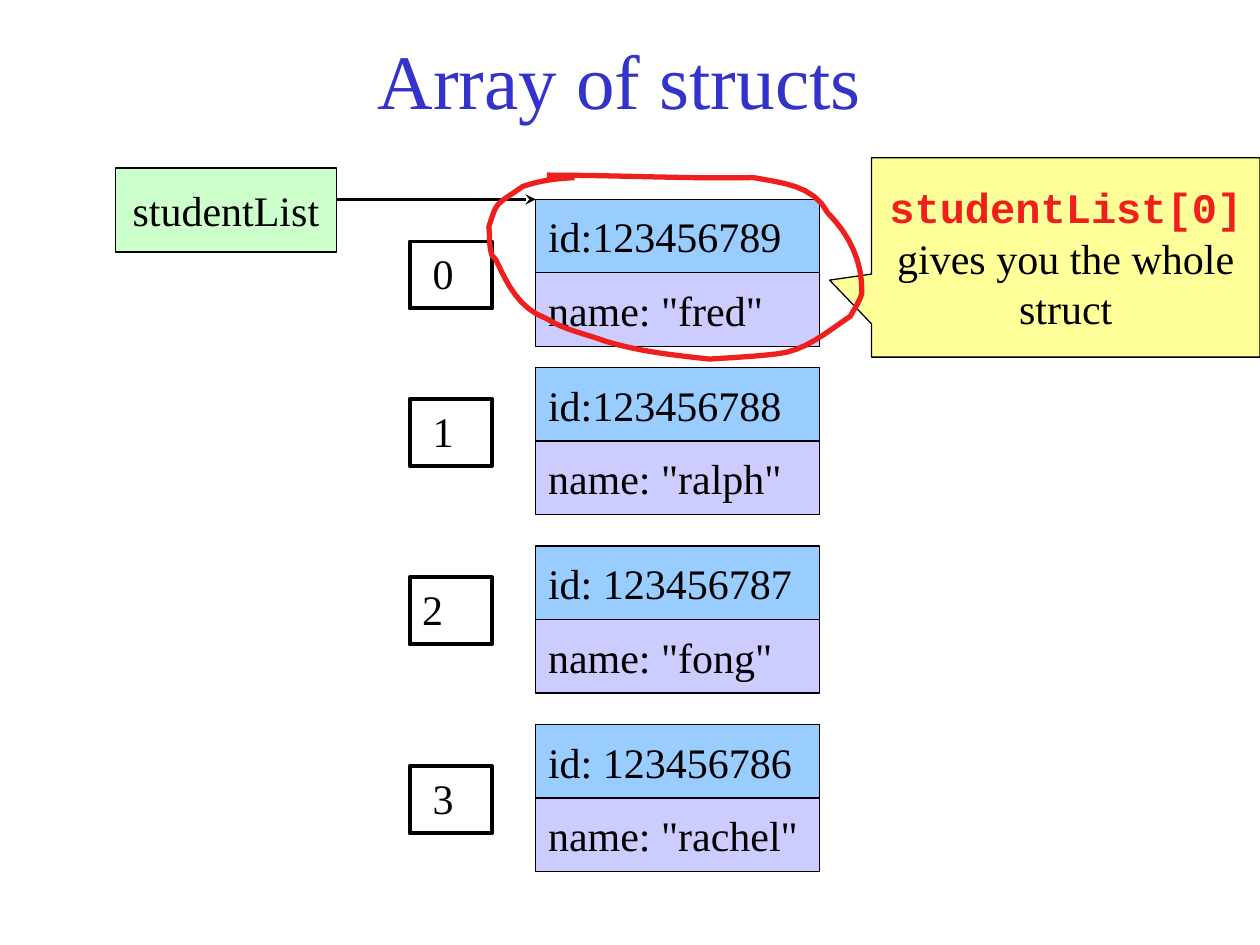
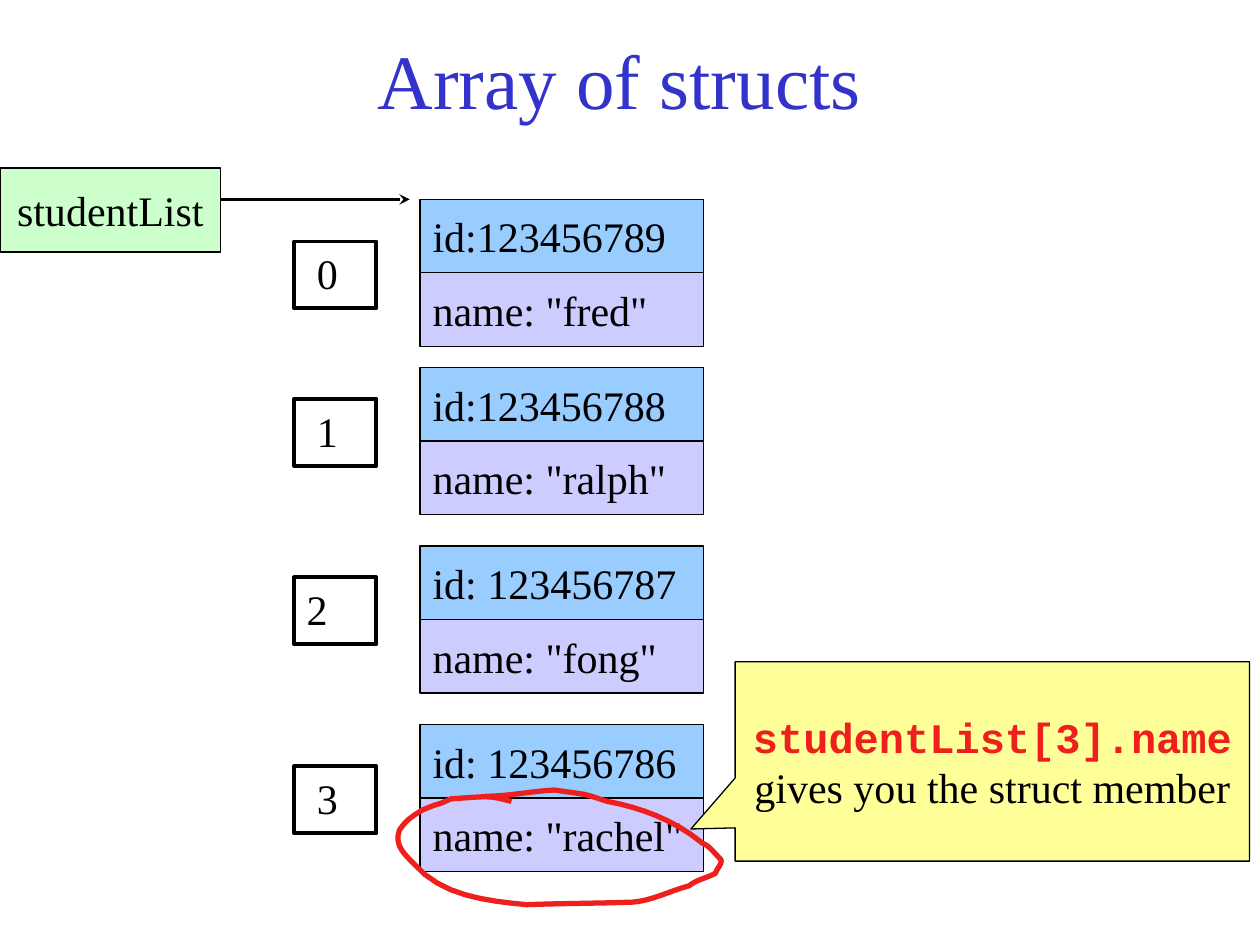
import pptx
import pptx.util
import pptx.dml.color
import pptx.enum.shapes
import pptx.enum.text
import pptx.oxml.ns
from lxml import etree

Cm = pptx.util.Cm
Pt = pptx.util.Pt
RGBColor = pptx.dml.color.RGBColor
SHAPES = pptx.enum.shapes.MSO_SHAPE
ANCHOR = pptx.enum.text.MSO_ANCHOR
ALIGN = pptx.enum.text.PP_ALIGN

BLACK = RGBColor(0x00, 0x00, 0x00)
TITLE_BLUE = RGBColor(0x33, 0x33, 0xCC)
ID_BLUE = RGBColor(0x99, 0xCC, 0xFF)
NAME_LILAC = RGBColor(0xCC, 0xCC, 0xFF)
POINTER_GREEN = RGBColor(0xCC, 0xFF, 0xCC)
NOTE_YELLOW = RGBColor(0xFF, 0xFF, 0x99)
MARK_RED = RGBColor(0xEF, 0x1F, 0x1D)

SERIF = "Times New Roman"
MONO = "Courier New"

FIELD_WIDTH, FIELD_HEIGHT = 5.72, 1.48
ARROW_TOP = 4.02

# id text, name text, top of the struct, index text, top of the index (cm)
STUDENTS = [
    ("id:123456789", 'name: "fred"', 4.02, " 0", 4.87),
    ("id:123456788", 'name: "ralph"', 7.41, " 1", 8.04),
    ("id: 123456787", 'name: "fong"', 11.01, "2", 11.64),
    ("id: 123456786", 'name: "rachel"', 14.61, " 3", 15.45),
]

# Pen strokes: a start, then two handles and an end per curve, in units of PEN_UNIT
PEN_UNIT = Cm(0.0254)
STRUCT_LOOP = [
    (456, 141), (440, 142), (430, 143), (415, 148),
    (392, 164), (395, 159), (388, 180), (389, 187), (388, 194), (390, 201),
    (390, 203), (393, 205), (394, 207), (403, 226), (412, 245), (434, 253),
    (448, 262), (465, 265), (481, 271), (507, 279), (535, 282), (563, 285),
    (580, 284), (598, 283), (616, 281), (639, 279), (657, 263), (675, 251),
    (677, 247), (683, 238), (684, 233), (685, 208), (674, 186), (657, 169),
    (646, 147), (620, 145), (598, 141), (543, 142), (489, 139), (434, 139),
]
NAME_LOOP = [
    (406, 636), (386, 631), (389, 632), (358, 634),
    (351, 637), (352, 637), (345, 639), (342, 640), (335, 643), (335, 643),
    (327, 648), (322, 651), (317, 659), (313, 670), (320, 677), (328, 685),
    (350, 711), (386, 715), (418, 718), (446, 717), (474, 717), (502, 716),
    (517, 715), (532, 707), (547, 703), (553, 698), (561, 697), (568, 693),
    (569, 689), (574, 685), (572, 682), (568, 678), (565, 674), (561, 671),
    (559, 670), (557, 669), (556, 668), (535, 651), (509, 641), (482, 636),
    (475, 634), (468, 631), (461, 630), (454, 629), (440, 627), (440, 627),
    (421, 628), (403, 632), (385, 632),
]


def add_span(para, text, size=24, color=BLACK, font=SERIF, bold=False):
    span = para.add_run()
    span.text = text
    span.font.name = font
    span.font.size = Pt(size)
    span.font.bold = bold
    span.font.color.rgb = color


def add_box(shapes, place, fill=None, line_width=0.75, kind=SHAPES.RECTANGLE,
            align=ALIGN.LEFT, wrap=False):
    """Add an outlined shape at place (cm) and return it with its first paragraph."""
    box = shapes.add_shape(kind, *map(Cm, place))
    box.shadow.inherit = False
    if fill is None:
        box.fill.background()
    else:
        box.fill.solid()
        box.fill.fore_color.rgb = fill
    box.line.color.rgb = BLACK
    box.line.width = Pt(line_width)
    frame = box.text_frame
    frame.word_wrap = wrap
    frame.vertical_anchor = ANCHOR.MIDDLE
    para = frame.paragraphs[0]
    para.alignment = align
    return box, para


def add_title(page, text):
    box = page.shapes.add_textbox(Cm(1.69), Cm(0), Cm(21.59), Cm(3.18))
    box.text_frame.word_wrap = True
    box.text_frame.vertical_anchor = ANCHOR.MIDDLE
    para = box.text_frame.paragraphs[0]
    para.alignment = ALIGN.CENTER
    add_span(para, text, 44, TITLE_BLUE)


def add_index(shapes, left, top, text):
    box, para = add_box(shapes, (left, top, 1.66, 1.35), line_width=2.25, wrap=True)
    box.text_frame.vertical_anchor = ANCHOR.TOP
    box.text_frame.auto_size = pptx.enum.text.MSO_AUTO_SIZE.SHAPE_TO_FIT_TEXT
    add_span(para, text)


def add_student_array(page, left):
    """Add the numbered structs, with the index column starting at left."""
    shapes = page.shapes.add_group_shape().shapes
    for id_text, name_text, top, index, index_top in STUDENTS:
        fields = [(id_text, ID_BLUE), (name_text, NAME_LILAC)]
        for row, (text, fill) in enumerate(fields):
            place = (left + 2.54, top + row * FIELD_HEIGHT, FIELD_WIDTH, FIELD_HEIGHT)
            para = add_box(shapes, place, fill)[1]
            add_span(para, text)
        add_index(shapes, left, index_top, index)


def add_pointer(page, left, arrow_end):
    """Add the array variable and the arrow to its first struct."""
    width = 4.45
    para = add_box(page.shapes, (left, 3.39, width, 1.69), POINTER_GREEN,
                   align=ALIGN.CENTER)[1]
    add_span(para, "studentList")
    arrow = page.shapes.add_connector(
        pptx.enum.shapes.MSO_CONNECTOR.STRAIGHT,
        Cm(left + width), Cm(ARROW_TOP), Cm(arrow_end), Cm(ARROW_TOP))
    arrow.line.color.rgb = BLACK
    arrow.line.width = Pt(2)
    qn = pptx.oxml.ns.qn
    etree.SubElement(arrow.line._get_or_add_ln(), qn("a:tailEnd"), type="stealth")
    etree.SubElement(arrow._element.spPr, qn("a:effectLst"))


def add_callout(page, place, tip, code, explanation):
    box, para = add_box(page.shapes, place, NOTE_YELLOW, wrap=True,
                        kind=SHAPES.RECTANGULAR_CALLOUT, align=ALIGN.CENTER)
    box.adjustments[0], box.adjustments[1] = tip
    add_span(para, code, color=MARK_RED, font=MONO, bold=True)
    para.add_line_break()
    add_span(para, explanation)


def curve_points(stroke, steps=8):
    """Yield points along the cubic curves of a stroke."""
    for first in range(0, len(stroke) - 1, 3):
        corners = stroke[first:first + 4]
        for step in range(1, steps + 1):
            t = step / steps
            weights = ((1 - t) ** 3, 3 * t * (1 - t) ** 2, 3 * t * t * (1 - t), t ** 3)
            yield tuple(sum(weight * corner[axis] for weight, corner in zip(weights, corners))
                        * PEN_UNIT for axis in (0, 1))


def add_pen_loop(page, stroke):
    start_x, start_y = stroke[0]
    builder = page.shapes.build_freeform(start_x * PEN_UNIT, start_y * PEN_UNIT)
    builder.add_line_segments(list(curve_points(stroke)), close=False)
    loop = builder.convert_to_shape()
    loop.shadow.inherit = False
    loop.fill.background()
    loop.line.color.rgb = MARK_RED
    loop.line.width = Pt(3)


def add_array_page(deck, array_left, pointer_left, arrow_end):
    page = deck.slides.add_slide(deck.slide_layouts[6])
    add_title(page, "Array of structs")
    add_student_array(page, array_left)
    add_pointer(page, pointer_left, arrow_end)
    return page


def main():
    deck = pptx.Presentation()
    deck.slide_width, deck.slide_height = Cm(25.4), Cm(19.05)

    page = add_array_page(deck, array_left=8.26, pointer_left=2.33, arrow_end=10.8)
    add_callout(page, (17.57, 3.18, 7.83, 4.02), (-0.608, 0.114),
                "studentList[0]", "gives you the whole struct")
    add_pen_loop(page, STRUCT_LOOP)

    page = add_array_page(deck, array_left=5.93, pointer_left=0, arrow_end=8.26)
    add_callout(page, (14.82, 13.34, 10.37, 4.02), (-0.586, 0.339),
                "studentList[3].name", "gives you the struct member")
    add_pen_loop(page, NAME_LOOP)

    deck.save("out.pptx")


if __name__ == "__main__":
    main()
